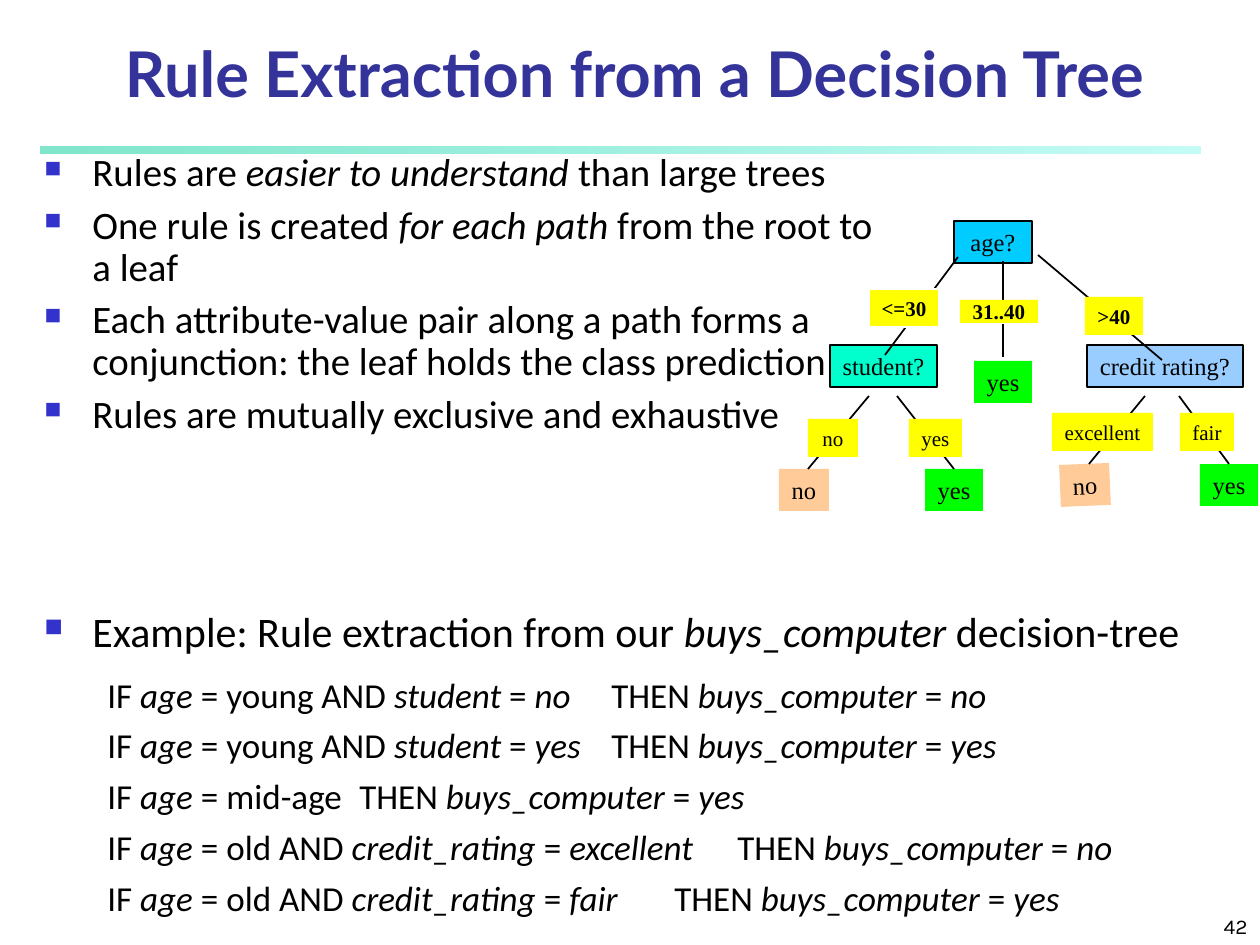
from lxml import etree
from pptx import Presentation
from pptx import util as u
from pptx.dml.color import RGBColor
from pptx.enum import shapes, text
from pptx.oxml.ns import qn

BLACK = RGBColor(0x00, 0x00, 0x00)
WHITE = RGBColor(0xFF, 0xFF, 0xFF)
NAVY = RGBColor(0x33, 0x33, 0x99)
BULLET = RGBColor(0x33, 0x33, 0xCC)
TEAL = RGBColor(0x00, 0xCE, 0x98)
PALE_TEAL = RGBColor(0x8F, 0xF9, 0xEF)
SKY = RGBColor(0x00, 0xCC, 0xFF)
AQUA = RGBColor(0x00, 0xFF, 0xCC)
BLUE = RGBColor(0x99, 0xCC, 0xFF)
YELLOW = RGBColor(0xFF, 0xFF, 0x00)
PEACH = RGBColor(0xFF, 0xCC, 0x99)
GREEN = RGBColor(0x00, 0xFF, 0x00)

LEFT, CENTER, RIGHT = text.PP_ALIGN.LEFT, text.PP_ALIGN.CENTER, text.PP_ALIGN.RIGHT
TOP, MIDDLE, BOTTOM = text.MSO_ANCHOR.TOP, text.MSO_ANCHOR.MIDDLE, text.MSO_ANCHOR.BOTTOM
BODY_FONT, TREE_FONT = "Calibri", "Times New Roman"


def px(n):
    return u.Inches(n / 126)


def sub(parent, tag, **attrs):
    return etree.SubElement(parent, qn(tag), {k: str(v) for k, v in attrs.items()})


def set_all(obj, values):
    for name, value in values.items():
        setattr(obj, name, value)


class Slide:
    def __init__(self, prs):
        self.s = prs.slides.add_slide(prs.slide_layouts[6])
        self.group = None

    def start_tree(self):
        self.group = self.s.shapes.add_group_shape()

    def add_runs(self, p, content, color=BLACK, **font):
        """Add runs to p; parts between asterisks are italic."""
        for i, part in enumerate(content.split("*")):
            if part:
                r = p.add_run()
                r.text = part
                set_all(r.font, {**font, "italic": bool(i % 2)})
                r.font.color.rgb = color

    def textbox(self, box, anchor=TOP):
        tf = self.s.shapes.add_textbox(*map(px, box)).text_frame
        set_all(tf, {"word_wrap": True, "vertical_anchor": anchor})
        return tf

    def line_of_text(self, box, content, align, **font):
        p = self.textbox(box, BOTTOM).paragraphs[0]
        p.alignment = align
        self.add_runs(p, content, **font)

    def bullet(self, p, content, size, spacing=1.0):
        set_all(p, {"space_before": u.Pt(6), "line_spacing": spacing, "alignment": LEFT})
        pPr = p._p.get_or_add_pPr()
        pPr.set("marL", str(px(48)))
        pPr.set("indent", str(px(-48)))
        sub(sub(pPr, "a:buClr"), "a:srgbClr", val=BULLET)
        sub(pPr, "a:buSzPct", val=60000)
        sub(pPr, "a:buChar", char="■")
        self.add_runs(p, content, size=u.Pt(size), name=BODY_FONT)

    def rule(self, p, condition, outcome, stop, before):
        """Add one IF/THEN line, with THEN at a tab stop."""
        set_all(p, {"space_before": u.Pt(before), "alignment": LEFT})
        pPr = p._p.get_or_add_pPr()
        pPr.set("marL", "0")
        pPr.set("indent", str(px(63)))
        sub(pPr, "a:buNone")
        sub(sub(pPr, "a:tabLst"), "a:tab", pos=px(stop), algn="l")
        self.add_runs(p, f"IF *age* = {condition}\tTHEN *buys_computer* = *{outcome}*",
                      size=u.Pt(20), name=BODY_FONT)

    def rect(self, box, parent):
        sp = parent.shapes.add_shape(shapes.MSO_SHAPE.RECTANGLE, *map(px, box))
        sp.shadow.inherit = False
        sp.line.fill.background()
        return sp

    def gradient_bar(self, box, stops):
        sp = self.rect(box, self.s)
        sp.fill.gradient()
        sp.fill.gradient_angle = 0
        for stop, (color, _) in zip(sp.fill.gradient_stops, stops):
            stop.color.rgb = color
        colors = sp._element.spPr.iter(qn("a:srgbClr"))
        for clr, (_, alpha) in zip(list(colors), stops):
            sub(clr, "a:alpha", val=alpha * 1000)

    def node(self, box, label, fill, size=14, bold=False, line=None, anchor=TOP, rotation=0):
        sp = self.rect(box, self.group)
        sp.rotation = rotation
        sp.fill.solid()
        sp.fill.fore_color.rgb = fill
        if line is not None:
            sp.line.color.rgb = line
            sp.line.width = u.Pt(1)
        tf = sp.text_frame
        set_all(tf, {"word_wrap": False, "vertical_anchor": anchor})
        p = tf.paragraphs[0]
        p.alignment = CENTER
        self.add_runs(p, label, size=u.Pt(size), name=TREE_FONT, bold=bold)
        return sp

    def edge(self, x1, y1, x2, y2, child=None):
        c = self.group.shapes.add_connector(
            shapes.MSO_CONNECTOR.STRAIGHT, *map(px, (x1, y1, x2, y2)))
        c.line.color.rgb = BLACK
        c.line.width = u.Pt(1)
        sub(c._element.spPr, "a:effectLst")
        if child is not None:
            c.end_connect(child, 0)


QUESTIONS = [
    ((954, 221, 78, 42), "age?", SKY),
    ((830, 345, 107, 42), "student?", AQUA),
    ((1087, 345, 156, 42), "credit rating?", BLUE),
]
EDGES = [
    (958, 257, 885, 355), (1003, 261, 1003, 301), (1038, 255, 1162, 360),
    (1003, 324, 1003, 357), (869, 396, 808, 469), (1145, 396, 1089, 464),
]
RANGES = [
    ((869, 289, 70, 38), "<=30", {"line": WHITE}),
    ((1085, 297, 58, 38), ">40", {}),
    ((960, 300, 78, 23), "31..40", {"anchor": MIDDLE}),
]
ANSWERS = [
    ((1180, 413, 54, 38), "fair"), ((1052, 413, 101, 38), "excellent"),
    ((909, 419, 53, 38), "yes"), ((808, 419, 50, 38), "no"),
]
POINTS = [
    "Rules are *easier to understand* than large trees",
    "One rule is created *for each path* from the root to a leaf",
    "Each attribute-value pair along a path forms a conjunction: "
    "the leaf holds the class prediction",
    "Rules are mutually exclusive and exhaustive",
]
RULES = [
    ("young AND *student* = *no*", "no", 661),
    ("young AND *student* = *yes*", "yes", 663),
    ("mid-age", "yes", 638),
    ("old AND *credit_rating* = *excellent*", "no", 665),
    ("old AND *credit_rating* = *fair*", "yes", 668),
]


def draw_tree(slide):
    slide.start_tree()
    for box, label, fill in QUESTIONS:
        slide.node(box, label, fill, line=BLACK)
    slide.node((779, 469, 50, 42), "no", PEACH)
    slide.node((1060, 464, 50, 42), "no", PEACH, rotation=357.6)
    slide.node((974, 361, 58, 42), "yes", GREEN)
    student_yes = slide.node((925, 469, 58, 42), "yes", GREEN)
    fair_yes = slide.node((1200, 464, 58, 42), "yes", GREEN)
    for ends in EDGES:
        slide.edge(*ends)
    slide.edge(897, 396, 954, 469, student_yes)
    slide.edge(1179, 396, 1229, 464, fair_yes)
    for box, label, style in RANGES:
        slide.node(box, label, YELLOW, size=12, bold=True, **style)
    for box, label in ANSWERS:
        slide.node(box, label, YELLOW, size=12)


def main():
    prs = Presentation()
    prs.slide_width, prs.slide_height = px(1260), px(945)
    slide = Slide(prs)
    slide.gradient_bar((41, 147, 1160, 7), [(TEAL, 50), (PALE_TEAL, 52)])
    slide.line_of_text((998, 892, 262, 53), "42", RIGHT, size=u.Pt(12), name="Karla")
    draw_tree(slide)

    tf = slide.textbox((32, 599, 1207, 325))
    slide.bullet(tf.paragraphs[0],
                 "Example: Rule extraction from our *buys_computer* decision-tree", 24)
    for i, (condition, outcome, stop) in enumerate(RULES):
        slide.rule(tf.add_paragraph(), condition, outcome, stop, 5 if i else 10)

    slide.line_of_text((29, 32, 1211, 84), "Rule Extraction from a Decision Tree", CENTER,
                       color=NAVY, size=u.Pt(36), name="Lato", bold=True)

    tf = slide.textbox((32, 147, 861, 441))
    for i, point in enumerate(POINTS):
        slide.bullet(tf.add_paragraph() if i else tf.paragraphs[0], point, 22.2, 0.9)
    prs.save("out.pptx")


if __name__ == "__main__":
    main()
